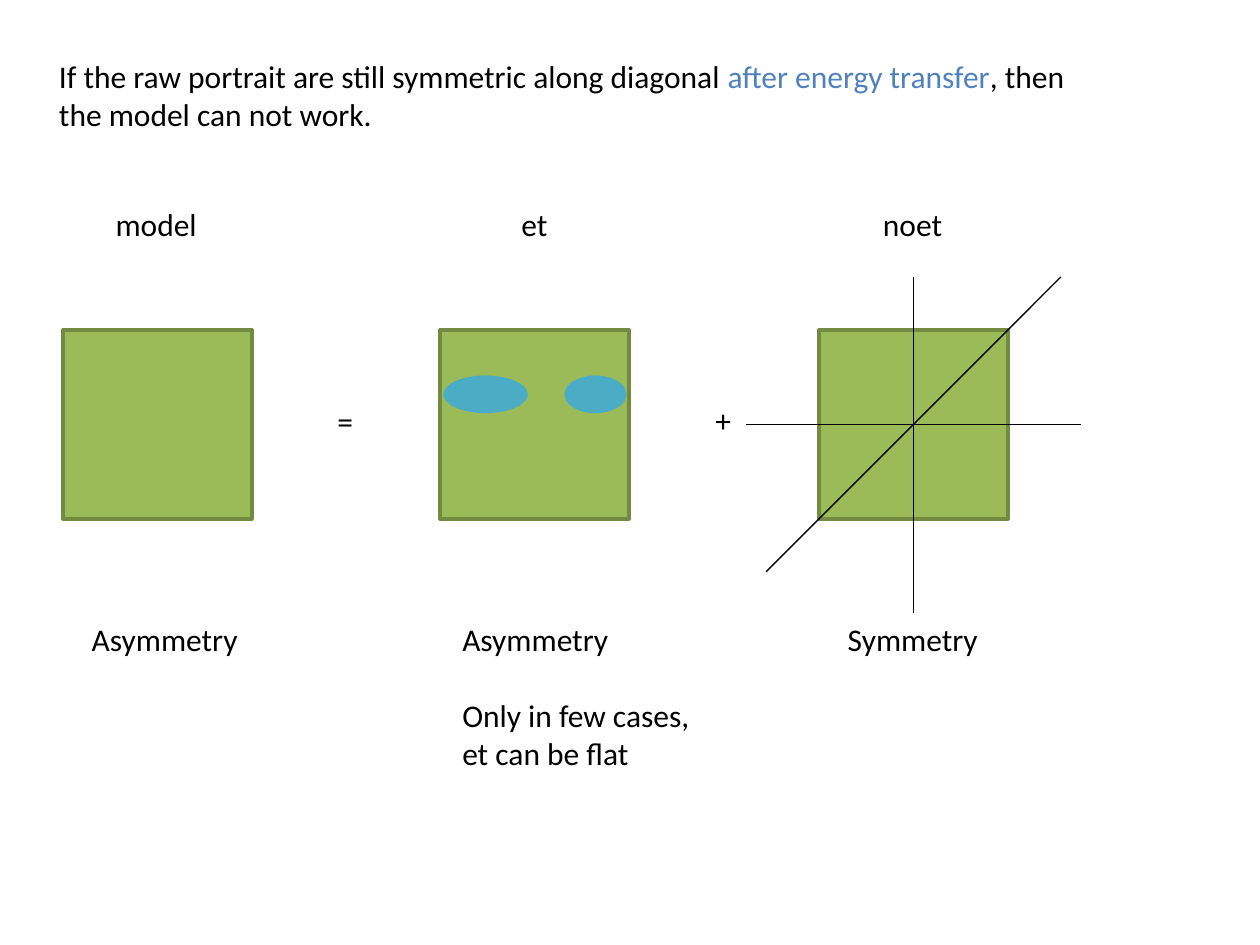
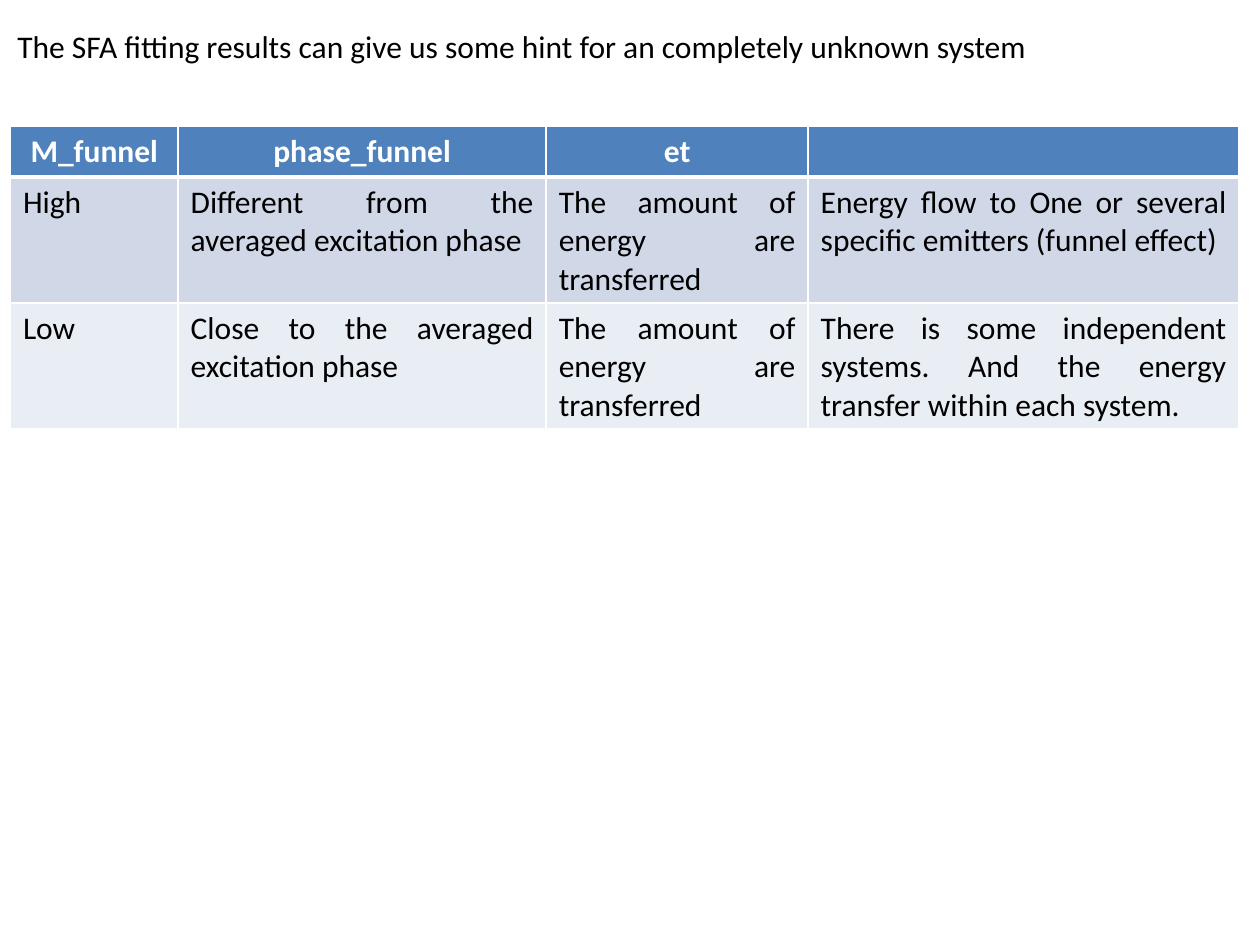
from dataclasses import dataclass

from lxml import etree
from pptx import Presentation
from pptx import util as u
from pptx.dml.color import RGBColor
from pptx.enum import shapes, text
from pptx.oxml import ns


@dataclass(frozen=True)
class Theme:
    font: str = "Calibri"
    size: int = 18
    ink: str = "000000"
    white: str = "FFFFFF"
    blue: str = "4F81BD"
    green: str = "9BBB59"
    green_edge: str = "738A42"
    aqua: str = "4BACC6"
    bands: tuple[str, str] = ("D0D8E8", "E9EDF4")


@dataclass(frozen=True)
class Label:
    """Text box: position and size in cm, one string per paragraph."""
    left: float
    top: float
    width: float
    lines: tuple[str, ...]
    height: float = 1.03
    wrap: bool = False


@dataclass(frozen=True)
class Blob:
    """Filled preset shape, measured in cm."""
    kind: shapes.MSO_SHAPE
    left: float
    top: float
    width: float
    height: float
    fill: str
    edge: str | None = None


@dataclass(frozen=True)
class Axis:
    """Line given by its two ends, in cm from the centre of the square."""
    start: tuple[float, float]
    end: tuple[float, float]


THEME = Theme()

# Symmetry diagram
SIDE = 3.81
SQUARE_TOP = 6.65
MODEL_X, ET_X, NOET_X = 1.27, 8.87, 16.51
NAME_TOP, VERDICT_TOP = 4.01, 12.37
GAP_AFTER_VERDICT = 22
AXES = (
    Axis((2.97, -2.97), (-2.97, 2.97)),
    Axis((3.38, 0), (-3.38, 0)),
    Axis((0, 3.81), (0, -2.97)),
)
SPOTS = (
    Blob(shapes.MSO_SHAPE.OVAL, 8.94, 7.57, 1.7, 0.76, THEME.aqua),
    Blob(shapes.MSO_SHAPE.OVAL, 11.38, 7.57, 1.25, 0.76, THEME.aqua),
)
DIAGRAM_LABELS = (
    Label(2.08, NAME_TOP, 2.16, ("model",)),
    Label(10.26, NAME_TOP, 1.04, ("et",)),
    Label(17.55, NAME_TOP, 1.73, ("noet",)),
    Label(6.55, 7.97, 0.84, ("=",)),
    Label(14.17, 7.96, 0.84, ("+",)),
    Label(1.6, VERDICT_TOP, 3.48, ("Asymmetry",)),
    Label(16.84, VERDICT_TOP, 3.15, ("Symmetry",)),
)
ET_VERDICT = Label(9.07, VERDICT_TOP, 5.28,
                   ("Asymmetry", "Only in few cases,", "et can be flat"), 3.33)
STATEMENT = Label(0.94, 1.02, 20.9, (), 1.8, wrap=True)
STATEMENT_RUNS = (
    ("If the raw portrait are still symmetric along diagonal ", THEME.ink),
    ("after energy transfer", THEME.blue),
    (", then the model can not work.", THEME.ink),
)

# Fitting table
FITTING_TITLE = Label(0.1, 0.43, 21.56, (
    "The SFA fitting results can give us some hint for an completely unknown system",))
COLUMN_WIDTHS = (3.38, 7.42, 5.28, 8.69)
ROW_HEIGHTS = (1.03, 2.54, 2.54)
TRANSFERRED = "The amount of energy are transferred"
ROWS = (
    ("M_funnel", "phase_funnel", "et", ""),
    ("High", "Different from the averaged excitation phase", TRANSFERRED,
     "Energy flow to One or several specific emitters (funnel effect)"),
    ("Low", "Close to the averaged excitation phase", TRANSFERRED,
     "There is some independent systems. And the energy transfer within each system."),
)


def rgb(color: str) -> RGBColor:
    return RGBColor.from_string(color)


def style(font, color: str | None = THEME.ink, bold: bool = False) -> None:
    font.name, font.size, font.bold = THEME.font, u.Pt(THEME.size), bold
    if color:
        font.color.rgb = rgb(color)


def add_label(s, label: Label):
    sp = s.shapes.add_textbox(*map(u.Cm, (label.left, label.top, label.width, label.height)))
    tf = sp.text_frame
    tf.word_wrap = label.wrap
    tf.auto_size = text.MSO_AUTO_SIZE.SHAPE_TO_FIT_TEXT
    if label.lines:
        tf.text = "\n".join(label.lines)
    for p in tf.paragraphs:
        style(p.font)
    return sp


def add_blob(s, blob: Blob) -> None:
    sp = s.shapes.add_shape(
        blob.kind, *map(u.Cm, (blob.left, blob.top, blob.width, blob.height)))
    sp.shadow.inherit = False
    sp.fill.solid()
    sp.fill.fore_color.rgb = rgb(blob.fill)
    if blob.edge:
        sp.line.color.rgb = rgb(blob.edge)
        sp.line.width = u.Pt(2)
    else:
        sp.line.fill.background()


def add_axis(s, axis: Axis, cx: float, cy: float) -> None:
    (x1, y1), (x2, y2) = axis.start, axis.end
    line = s.shapes.add_connector(
        shapes.MSO_CONNECTOR.STRAIGHT, *map(u.Cm, (cx + x1, cy + y1, cx + x2, cy + y2)))
    line.line.color.rgb = rgb(THEME.ink)
    line.line.width = u.Pt(0.75)
    etree.SubElement(line._element.spPr, ns.qn("a:effectLst"))


def set_borders(cell, top: float, bottom: float) -> None:
    """White borders; must be added before the cell's fill."""
    tc_pr = cell._tc.get_or_add_tcPr()
    for side, width in (("L", 1), ("R", 1), ("T", top), ("B", bottom)):
        ln = etree.SubElement(tc_pr, ns.qn(f"a:ln{side}"), w=str(int(u.Pt(width))))
        fill = etree.SubElement(ln, ns.qn("a:solidFill"))
        etree.SubElement(fill, ns.qn("a:srgbClr"), val=THEME.white)


def fill_cell(cell, content: str, row: int) -> None:
    header = row == 0
    set_borders(cell, top=3 if row == 1 else 1, bottom=3 if header else 1)
    cell.fill.solid()
    cell.fill.fore_color.rgb = rgb(THEME.blue if header else THEME.bands[row - 1])
    cell.text = content
    p = cell.text_frame.paragraphs[0]
    p.alignment = text.PP_ALIGN.CENTER if header else text.PP_ALIGN.JUSTIFY
    style(p.font, THEME.white if header else THEME.ink, bold=header)


def build_symmetry(s) -> None:
    # Squares, axes and spots
    for x in (MODEL_X, ET_X, NOET_X):
        add_blob(s, Blob(shapes.MSO_SHAPE.RECTANGLE, x, SQUARE_TOP, SIDE, SIDE,
                         THEME.green, THEME.green_edge))
    for axis in AXES:
        add_axis(s, axis, NOET_X + SIDE / 2, SQUARE_TOP + SIDE / 2)
    for spot in SPOTS:
        add_blob(s, spot)

    # Names, operators and verdicts
    for label in DIAGRAM_LABELS:
        add_label(s, label)
    verdict = add_label(s, ET_VERDICT)
    verdict.text_frame.paragraphs[1].space_before = u.Pt(GAP_AFTER_VERDICT)

    # Statement with a highlighted phrase
    p = add_label(s, STATEMENT).text_frame.paragraphs[0]
    style(p.font, color=None)
    for words, color in STATEMENT_RUNS:
        r = p.add_run()
        r.text = words
        r.font.color.rgb = rgb(color)


def build_fitting(s) -> None:
    add_label(s, FITTING_TITLE)
    table = s.shapes.add_table(
        len(ROWS), len(COLUMN_WIDTHS), u.Cm(0.21), u.Cm(2.54),
        u.Cm(sum(COLUMN_WIDTHS)), u.Cm(sum(ROW_HEIGHTS))).table
    for column, width in zip(table.columns, COLUMN_WIDTHS):
        column.width = u.Cm(width)
    for i, (height, contents) in enumerate(zip(ROW_HEIGHTS, ROWS)):
        table.rows[i].height = u.Cm(height)
        for j, content in enumerate(contents):
            fill_cell(table.cell(i, j), content, i)


def main() -> None:
    prs = Presentation()
    prs.slide_width, prs.slide_height = u.Cm(25.4), u.Cm(19.05)
    for build in (build_symmetry, build_fitting):
        build(prs.slides.add_slide(prs.slide_layouts[6]))
    prs.save("out.pptx")


if __name__ == "__main__":
    main()
